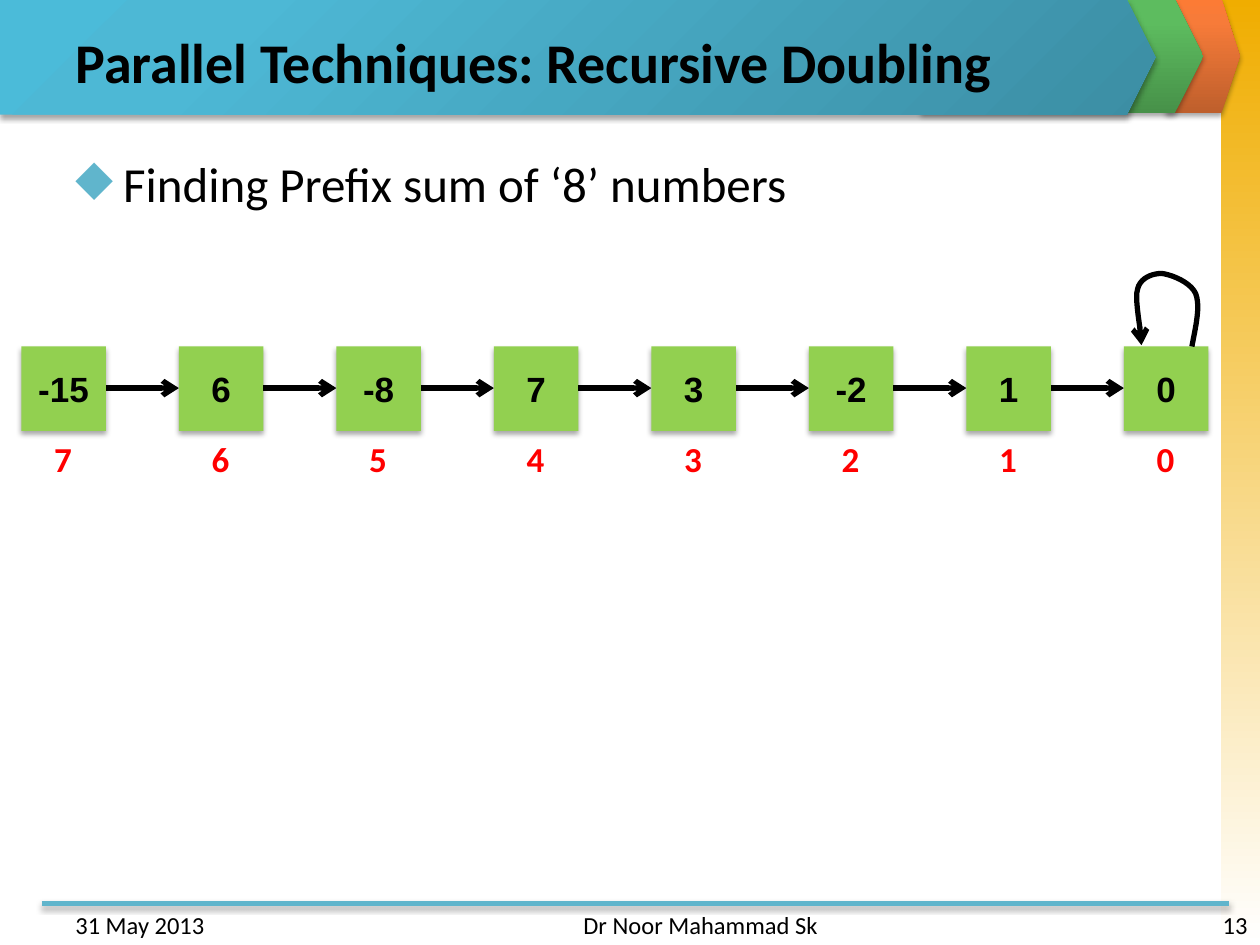
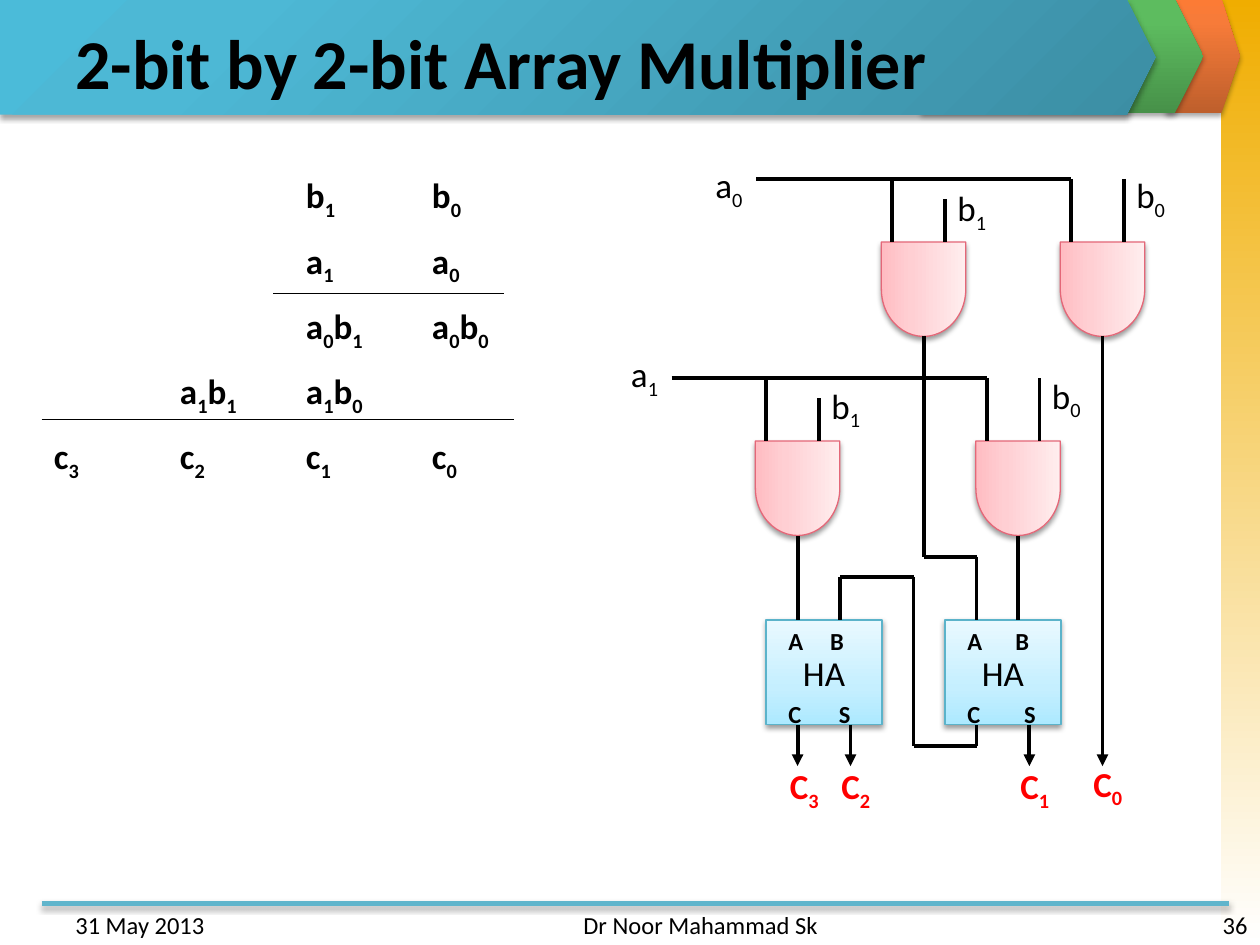
from itertools import groupby

from lxml import etree
from pptx import Presentation
from pptx.dml.color import RGBColor
from pptx.enum.shapes import MSO_CONNECTOR, MSO_SHAPE
from pptx.enum.text import MSO_ANCHOR, PP_ALIGN
from pptx.oxml.ns import qn
from pptx.util import Cm, Pt

RECT = MSO_SHAPE.RECTANGLE
PENTAGON = MSO_SHAPE.PENTAGON
DELAY = MSO_SHAPE.FLOWCHART_DELAY
STRAIGHT = MSO_CONNECTOR.STRAIGHT
LEFT, CENTER, RIGHT = PP_ALIGN.LEFT, PP_ALIGN.CENTER, PP_ALIGN.RIGHT
TOP, MIDDLE = MSO_ANCHOR.TOP, MSO_ANCHOR.MIDDLE

COLORS = {
    "ink": "000000",
    "index": "FF0000",
    "accent": "60B5CC",
    "node": "92D050",
    "gate_line": "E46778",
    "adder_line": "5BB3CA",
}
GRADIENTS = {
    "side": [(0, "F0AD00"), (100, "FFFFFF")],
    "orange": [(0, "BE5F2C"), (80, "F77B39"), (100, "FC7B35")],
    "green": [(0, "479149"), (80, "5DBC5F"), (100, "5BBF5E")],
    "blue": [(0, "3C8EA4"), (80, "4DB8D5"), (100, "4BBBD9")],
    "gate": [(0, "FFBCC2"), (35, "FFCFD3"), (100, "FFEDEE")],
    "adder": [(0, "ADE9FF"), (35, "C5EFFF"), (100, "E9F9FF")],
}


def inches(value):
    return Cm(value * 2.54)


def color(name):
    return RGBColor.from_string(COLORS[name])


def add_node(parent, tag, **attributes):
    values = {key: str(value) for key, value in attributes.items()}
    return etree.SubElement(parent, qn(tag), values)


def set_effect(shape, opacity=0):
    effects = shape._element.spPr.get_or_add_effectLst()
    if opacity:
        shadow = add_node(effects, "a:outerShdw", blurRad=Pt(3.1), dist=Pt(1.8),
                          dir=5400000, rotWithShape=0)
        black = add_node(shadow, "a:srgbClr", val=COLORS["ink"])
        add_node(black, "a:alpha", val=opacity * 1000)


def set_gradient(shape, name, angle):
    shape.fill.gradient()
    fill = shape._element.spPr.find(qn("a:gradFill"))
    stops = fill.find(qn("a:gsLst"))
    for stop in list(stops):
        stops.remove(stop)
    for position, value in GRADIENTS[name]:
        stop = add_node(stops, "a:gs", pos=position * 1000)
        add_node(stop, "a:srgbClr", val=value)
    linear = fill.find(qn("a:lin"))
    if angle is None:
        fill.remove(linear)
        circle = add_node(fill, "a:path", path="circle")
        add_node(circle, "a:fillToRect", l=100000, t=100000)
    else:
        linear.set("ang", str(angle * 60000))


def set_line(shape, name, width, arrow=None):
    shape.line.color.rgb = color(name)
    shape.line.width = Pt(width)
    if arrow:
        add_node(shape._element.spPr.get_or_add_ln(), "a:tailEnd", type=arrow)


def add_block(slide, kind, place, fill, angle=270, line=None, opacity=35):
    block = slide.shapes.add_shape(kind, *map(inches, place))
    if fill in GRADIENTS:
        set_gradient(block, fill, angle)
    else:
        block.fill.solid()
        block.fill.fore_color.rgb = color(fill)
    if line:
        set_line(block, line, 0.75)
    else:
        block.line.fill.background()
    set_effect(block, opacity)
    return block


def add_line(slide, start, end, width, name="ink", arrow=None, opacity=0):
    ends = map(inches, (*start, *end))
    line = slide.shapes.add_connector(STRAIGHT, *ends)
    set_line(line, name, width, arrow)
    set_effect(line, opacity)


def add_wire(slide, *points, arrow=None):
    last = len(points) - 2
    for number, (start, end) in enumerate(zip(points, points[1:])):
        add_line(slide, start, end, 2.25, arrow=arrow if number == last else None)


def style(para, size, bold=False, name="ink", align=LEFT, font="Calibri"):
    para.alignment = align
    para.font.size = Pt(size)
    para.font.bold = bold
    para.font.name = font
    para.font.color.rgb = color(name)


def add_text(slide, place, text, size, anchor=TOP, wrap=True, **look):
    box = slide.shapes.add_textbox(*map(inches, place))
    box.text_frame.word_wrap = wrap
    box.text_frame.vertical_anchor = anchor
    para = box.text_frame.paragraphs[0]
    para.text = text
    style(para, size, **look)
    return box


def fill_block(block, text, size, **look):
    frame = block.text_frame
    frame.word_wrap = False
    frame.vertical_anchor = MIDDLE
    para = frame.paragraphs[0]
    para.text = text
    style(para, size, align=CENTER, **look)


def set_tabs(para, positions):
    tabs = add_node(para._p.get_or_add_pPr(), "a:tabLst")
    for position in positions:
        add_node(tabs, "a:tab", pos=inches(position), algn="l")
    properties = para._p.pPr
    defaults = properties.find(qn("a:defRPr"))
    if defaults is not None:
        properties.append(defaults)


def add_indexed(para, text):
    for is_index, letters in groupby(text, str.isdigit):
        span = para.add_run()
        span.text = "".join(letters)
        if is_index:
            span.font._element.set("baseline", "-25000")


def add_label(slide, left, top, text, **look):
    box = add_text(slide, (left, top, 0.5, 0.44), "", 20, **look)
    add_indexed(box.text_frame.paragraphs[0], text)


def add_page(deck, title, title_size, number):
    slide = deck.slides.add_slide(deck.slide_layouts[6])
    add_block(slide, RECT, (9.69, 0, 0.31, 7.5), "side", 90, opacity=0)
    plates = [
        ((9.25, -0.01, 0.59, 0.91), "orange", 270),
        ((7.31, -0.01, 2.24, 0.91), "green", 270),
        ((0, 0, 9.17, 0.91), "blue", None),
    ]
    for place, fill, angle in plates:
        plate = add_block(slide, PENTAGON, place, fill, angle)
        plate.adjustments[0] = 0.25
    add_line(slide, (0.33, 7.17), (9.75, 7.17), 3, "accent", opacity=35)
    add_text(slide, (0.5, 0.14, 9, 0.69), title, title_size, MIDDLE, bold=True)
    footers = [
        (0.5, 2.33, "31 May 2013", LEFT),
        (3.42, 3.17, "Dr Noor Mahammad Sk", RIGHT),
        (7.67, 2.33, str(number), RIGHT),
    ]
    for left, width, text, align in footers:
        add_text(slide, (left, 7.17, width, 0.25), text, 14, align=align)
    return slide


def add_bullet(slide, place, text):
    box = add_text(slide, place, text, 28)
    properties = box.text_frame.paragraphs[0]._p.get_or_add_pPr()
    properties.set("marL", str(inches(0.38)))
    properties.set("indent", str(-inches(0.38)))
    bullet_color = add_node(properties, "a:buClr")
    add_node(bullet_color, "a:srgbClr", val=COLORS["accent"])
    add_node(properties, "a:buChar", char="◆")
    properties.append(properties.find(qn("a:defRPr")))


def bezier(points, share):
    while len(points) > 1:
        points = [tuple(a + (b - a) * share for a, b in zip(p, q))
                  for p, q in zip(points, points[1:])]
    return points[0]


def add_loop(slide):
    knots = [
        (9.46, 2.75), (9.49, 2.59), (9.53, 2.43), (9.49, 2.33),
        (9.45, 2.24), (9.3, 2.18), (9.22, 2.17),
        (9.14, 2.17), (9.05, 2.21), (9.03, 2.29),
        (9, 2.38), (9.06, 2.62), (9.06, 2.74),
    ]
    steps = 10
    points = [knots[0]]
    for first in range(0, len(knots) - 1, 3):
        curve = knots[first:first + 4]
        points += [bezier(curve, step / steps) for step in range(1, steps + 1)]
    spots = [(inches(x), inches(y)) for x, y in points]
    builder = slide.shapes.build_freeform(*spots[0])
    builder.add_line_segments(spots[1:], close=False)
    loop = builder.convert_to_shape()
    loop.fill.background()
    set_line(loop, "ink", 3, "arrow")
    set_effect(loop)


def add_prefix_list(slide):
    values = ["-15", "6", "-8", "7", "3", "-2", "1", "0"]
    size, pitch, top = 0.67, 1.25, 2.75
    last = len(values) - 1
    for number, value in enumerate(values):
        left = 0.17 + number * pitch
        node = add_block(slide, RECT, (left, top, size, size), "node")
        fill_block(node, value, 20, bold=True, font="Arial")
        add_text(slide, (left + 0.16, 3.42, 0.34, 0.44), str(last - number), 20,
                 wrap=False, bold=True, name="index", align=CENTER)
        if number < last:
            add_line(slide, (left + size, 3.08), (left + pitch, 3.08), 3, arrow="arrow")
    add_loop(slide)


def add_products(slide):
    rows = ["\t\tb1\tb0", "\t\ta1\ta0", "\t\ta0b1\ta0b0", "\ta1b1\ta1b0",
            "c3\tc2\tc1\tc0"]
    box = slide.shapes.add_textbox(*map(inches, (0.33, 1.33, 3.75, 2.46)))
    frame = box.text_frame
    frame.word_wrap = True
    for number, row in enumerate(rows):
        para = frame.add_paragraph() if number else frame.paragraphs[0]
        add_indexed(para, row)
        style(para, 20, bold=True)
        para.space_before = Pt(10)
        set_tabs(para, (1, 2, 3))
    add_line(slide, (2.17, 2.33), (4, 2.33), 0.75)
    add_line(slide, (0.33, 3.33), (4.08, 3.33), 0.75)


def add_gate(slide, center, top):
    length, width = 0.75, 0.67
    place = (center - length / 2, top + (length - width) / 2, length, width)
    gate = add_block(slide, DELAY, place, "gate", line="gate_line", opacity=38)
    gate.rotation = 90


def add_gate_row(slide, bus, top, first, second):
    gate_top = top + 0.5
    for center in (first, second):
        add_gate(slide, center, gate_top)
        add_wire(slide, (center - 0.25, top), (center - 0.25, gate_top))
    add_wire(slide, (bus, top), (second - 0.25, top))
    add_wire(slide, (first + 0.17, top + 0.16), (first + 0.17, gate_top))
    add_wire(slide, (second + 0.17, top), (second + 0.17, gate_top))


def add_half_adder(slide, left, input_gap, output_gap):
    adder = add_block(slide, RECT, (left, 4.92, 0.92, 0.83), "adder",
                      line="adder_line", opacity=38)
    fill_block(adder, "HA", 20)
    for top, text, gap in ((4.92, "A\tB", input_gap), (5.5, "C\tS", output_gap)):
        box = add_text(slide, (left + 0.08, top, 0.8, 0.34), text, 14, bold=True)
        set_tabs(box.text_frame.paragraphs[0], [gap])


def add_multiplier(slide):
    add_gate_row(slide, 6, 1.42, 7.33, 8.75)
    add_gate_row(slide, 5.33, 3, 6.33, 8.08)
    add_half_adder(slide, 7.5, 0.38, 0.45)
    add_half_adder(slide, 6.08, 0.33, 0.4)
    for x in (6.33, 8.08):
        add_wire(slide, (x, 4.25), (x, 4.92))
    add_wire(slide, (7.33, 2.67), (7.33, 4.42), (7.75, 4.42), (7.75, 4.92))
    add_wire(slide, (6.67, 4.92), (6.67, 4.58), (7.25, 4.58), (7.25, 5.92),
             (7.75, 5.92), (7.75, 5.75))
    for x, top in ((6.33, 5.75), (6.75, 5.75), (8.17, 5.75), (8.75, 2.67)):
        add_wire(slide, (x, top), (x, 6.08), arrow="triangle")
    inputs = [
        (5.58, 1.25, "a0"), (4.91, 2.75, "a1"), (6.5, 3, "b1"),
        (7.5, 1.43, "b1"), (8.92, 1.33, "b0"), (8.25, 2.92, "b0"),
    ]
    for left, top, text in inputs:
        add_label(slide, left, top, text)
    outputs = [(8.58, 6, "C0"), (8, 6.02, "C1"), (6.58, 6.02, "C2"), (6.17, 6.02, "C3")]
    for left, top, text in outputs:
        add_label(slide, left, top, text, bold=True, name="index")


def main():
    deck = Presentation()
    deck.slide_width, deck.slide_height = inches(10), inches(7.5)
    doubling = add_page(deck, "Parallel Techniques: Recursive Doubling", 32, 13)
    add_bullet(doubling, (0.5, 1.17, 9, 0.75), "Finding Prefix sum of ‘8’ numbers")
    add_prefix_list(doubling)
    multiplier = add_page(deck, "2-bit by 2-bit Array Multiplier", 40, 36)
    add_products(multiplier)
    add_multiplier(multiplier)
    deck.save("out.pptx")


main()
